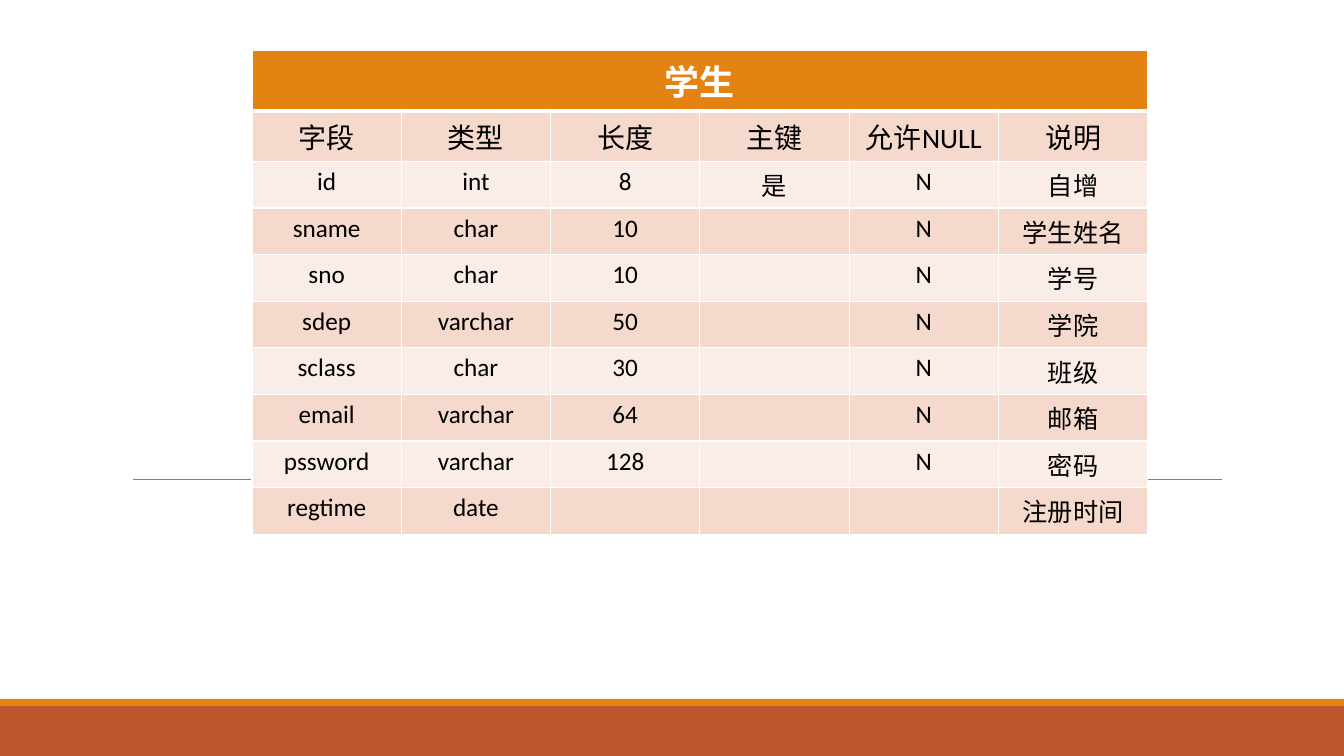
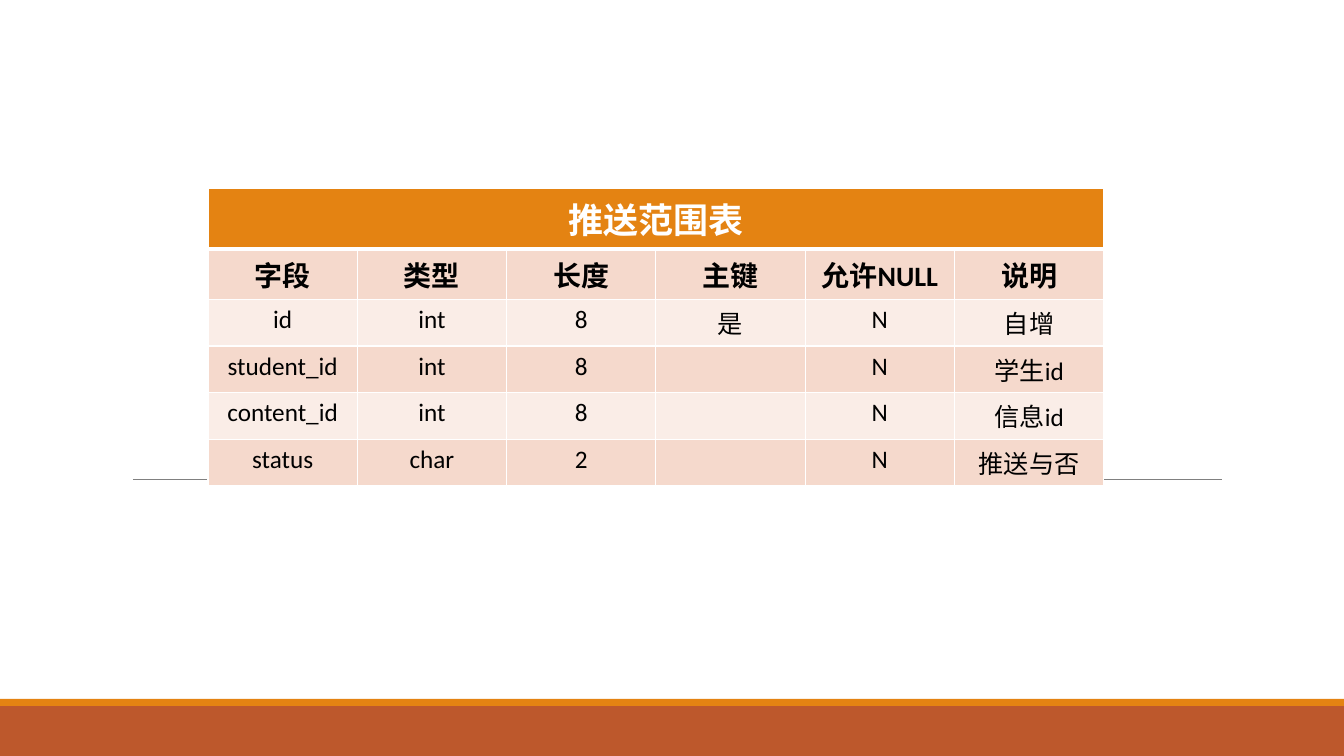
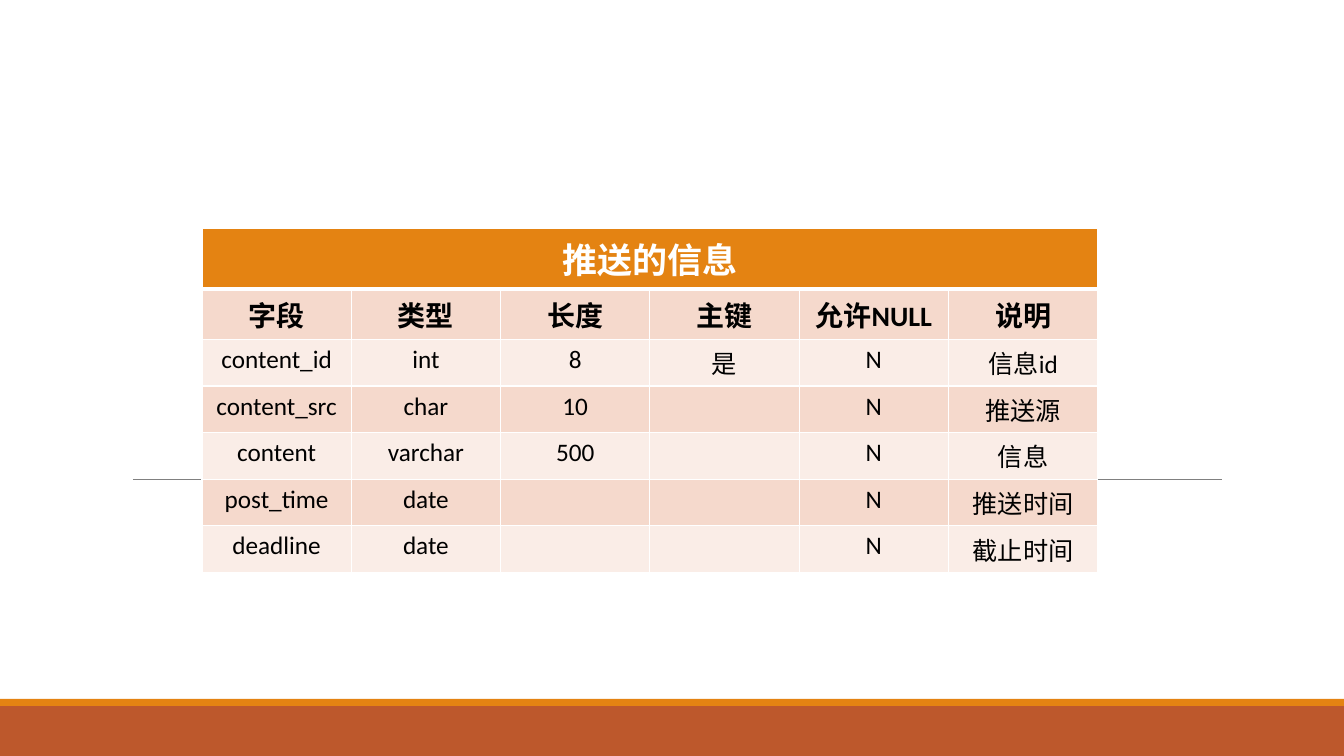
from dataclasses import dataclass

from lxml.etree import SubElement as Sub
from pptx import Presentation
from pptx.dml.color import RGBColor
from pptx.enum.shapes import MSO_CONNECTOR as Conn, MSO_SHAPE as Shape
from pptx.enum.text import PP_ALIGN as Align
from pptx.oxml.ns import qn
from pptx.util import Pt

PX = 914400 / 100.8  # EMU in one px
WIDE, HIGH = 1344, 756

# Shared look
FONT = "Calibri"
WHITE, BLACK, GRAY = "FFFFFF", "000000", "808080"
RUST, AMBER = "BD582C", "E48312"
TINTS = ("FAEDE7", "F5D9CC")  # even rows, odd rows

# Table grid
HEADS = ("字段", "类型", "长度", "主键", "允许NULL", "说明")
GRID_W, TOP_H, ROW_H, HEAD_H = 896, 34, 41, 94


@dataclass
class Band:
    top: int
    high: int
    color: str


@dataclass
class Style:
    size: int
    color: str
    bold: bool


@dataclass
class Grid:
    title: str
    left: int
    top: int
    rows: list[tuple[str, ...]]
    bold: bool = True  # bold column heads


BANDS = (Band(706, 50, RUST), Band(699, 7, AMBER))

GRIDS = (
    Grid("学生", 252, 50, [
        ("id", "int", "8", "是", "N", "自增"),
        ("sname", "char", "10", "", "N", "学生姓名"),
        ("sno", "char", "10", "", "N", "学号"),
        ("sdep", "varchar", "50", "", "N", "学院"),
        ("sclass", "char", "30", "", "N", "班级"),
        ("email", "varchar", "64", "", "N", "邮箱"),
        ("pssword", "varchar", "128", "", "N", "密码"),
        ("regtime", "date", "", "", "", "注册时间"),
    ], bold=False),
    Grid("推送范围表", 208, 188, [
        ("id", "int", "8", "是", "N", "自增"),
        ("student_id", "int", "8", "", "N", "学生id"),
        ("content_id", "int", "8", "", "N", "信息id"),
        ("status", "char", "2", "", "N", "推送与否"),
    ]),
    Grid("推送的信息", 202, 228, [
        ("content_id", "int", "8", "是", "N", "信息id"),
        ("content_src", "char", "10", "", "N", "推送源"),
        ("content", "varchar", "500", "", "N", "信息"),
        ("post_time", "date", "", "", "N", "推送时间"),
        ("deadline", "date", "", "", "N", "截止时间"),
    ]),
)


def px(num: int) -> int:
    return round(num * PX)


def rgb(color: str) -> RGBColor:
    return RGBColor.from_string(color)


def draw_base(slide) -> None:
    """Draw the bottom bands and the thin rule."""
    for band in BANDS:
        bar = slide.shapes.add_shape(
            Shape.RECTANGLE, 0, px(band.top), px(WIDE), px(band.high))
        bar.shadow.inherit = False
        bar.fill.solid()
        bar.fill.fore_color.rgb = rgb(band.color)
        bar.line.fill.background()
    rule = slide.shapes.add_connector(
        Conn.STRAIGHT, px(133), px(479), px(1222), px(479))
    rule.line.color.rgb = rgb(GRAY)
    rule.line.width = Pt(0.5)
    Sub(rule._element.spPr, qn("a:effectLst"))


def set_edges(cell, top: int, base: int) -> None:
    """Give a cell white borders; widths are in points."""
    props = cell._tc.get_or_add_tcPr()
    for side, width in (("L", 1), ("R", 1), ("T", top), ("B", base)):
        edge = Sub(props, qn(f"a:ln{side}"), w=str(Pt(width)))
        fill = Sub(edge, qn("a:solidFill"))
        Sub(fill, qn("a:srgbClr"), val=WHITE)


def set_text(cell, text: str, style: Style) -> None:
    cell.text_frame.text = text
    para = cell.text_frame.paragraphs[0]
    para.alignment = Align.CENTER
    for run in para.runs:
        font = run.font
        font.name, font.size, font.bold = FONT, Pt(style.size), style.bold
        font.color.rgb = rgb(style.color)


def draw_grid(slide, grid: Grid) -> None:
    lines = [(grid.title,) + ("",) * (len(HEADS) - 1), HEADS, *grid.rows]
    high = HEAD_H + ROW_H * len(grid.rows)
    frame = slide.shapes.add_table(
        len(lines), len(HEADS), px(grid.left), px(grid.top),
        px(GRID_W), px(high))
    table = frame.table
    table.first_row = table.horz_banding = False
    styles = (Style(25, WHITE, True), Style(20, BLACK, grid.bold))
    body = Style(18, BLACK, False)
    for row, line in enumerate(lines):
        table.rows[row].height = px(TOP_H if row < 2 else ROW_H)
        for col, text in enumerate(line):
            cell = table.cell(row, col)
            set_edges(cell, 3 if row == 1 else 1, 3 if row == 0 else 1)
            cell.fill.solid()
            cell.fill.fore_color.rgb = rgb(TINTS[row % 2] if row else AMBER)
            set_text(cell, text, styles[row] if row < 2 else body)
    table.cell(0, 0).merge(table.cell(0, len(HEADS) - 1))
    frame.height = px(high)


def main() -> None:
    deck = Presentation()
    deck.slide_width, deck.slide_height = px(WIDE), px(HIGH)
    for grid in GRIDS:
        slide = deck.slides.add_slide(deck.slide_layouts[6])
        draw_base(slide)
        draw_grid(slide, grid)
    deck.save("out.pptx")


if __name__ == "__main__":
    main()
